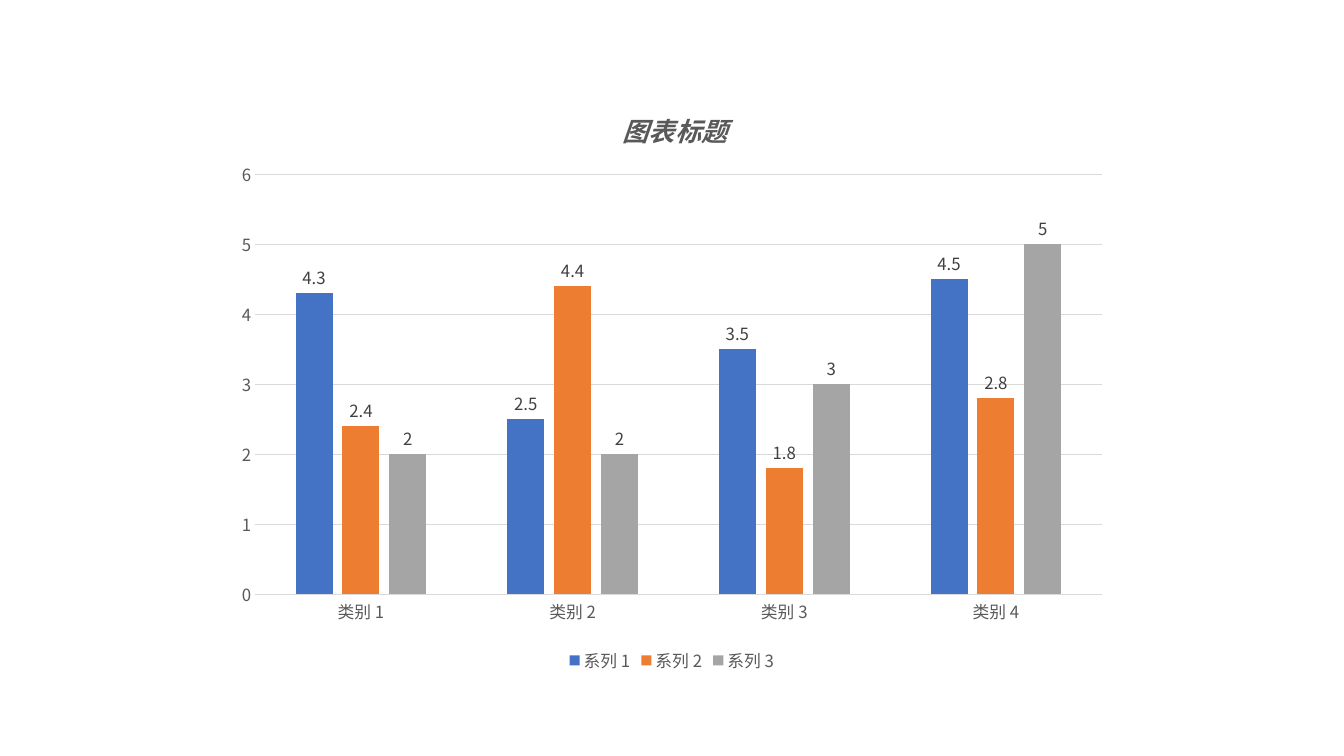
from dataclasses import dataclass

from lxml.etree import SubElement
from pptx import Presentation
from pptx.chart.axis import _BaseAxis
from pptx.chart.chart import Chart
from pptx.chart.data import CategoryChartData
from pptx.chart.series import BarSeries
from pptx.dml.color import RGBColor
from pptx.enum.chart import (XL_CHART_TYPE, XL_LABEL_POSITION,
                             XL_LEGEND_POSITION, XL_TICK_MARK)
from pptx.oxml import parse_xml
from pptx.oxml.ns import nsdecls, qn
from pptx.text.text import Font
from pptx.util import Cm, Pt

FONT_NAME = "Noto Sans CJK SC"
TEXT_COLOR = "595959"
LABEL_COLOR = "404040"
GRID_COLOR = "D9D9D9"
CATEGORIES = [f"类别 {number}" for number in range(1, 5)]


@dataclass(frozen=True)
class ColumnSeries:
    name: str
    values: tuple[float, ...]
    color: str


SERIES = (
    ColumnSeries("系列 1", (4.3, 2.5, 3.5, 4.5), "4472C4"),
    ColumnSeries("系列 2", (2.4, 4.4, 1.8, 2.8), "ED7D31"),
    ColumnSeries("系列 3", (2, 2, 3, 5), "A5A5A5"),
)


def rgb(color: str) -> RGBColor:
    return RGBColor.from_string(color)


def style_font(font: Font, size: float, color: str, strong: bool = False) -> None:
    font.name = FONT_NAME
    font.size = Pt(size)
    font.bold = font.italic = strong
    font.color.rgb = rgb(color)


def style_axis(axis: _BaseAxis) -> None:
    axis.major_tick_mark = axis.minor_tick_mark = XL_TICK_MARK.NONE
    style_font(axis.tick_labels.font, 12, TEXT_COLOR)


def style_series(series: BarSeries, color: str) -> None:
    series.format.fill.solid()
    series.format.fill.fore_color.rgb = rgb(color)
    series.invert_if_negative = False
    labels = series.data_labels
    labels.show_value = True
    labels.position = XL_LABEL_POSITION.OUTSIDE_END
    style_font(labels.font, 12, LABEL_COLOR)


def place(parent, **fractions: float) -> None:
    """Place a chart part by fractions of the chart size."""
    for old_layout in parent.findall(qn("c:layout")):
        parent.remove(old_layout)
    target = '<c:layoutTarget val="inner"/>' if "w" in fractions else ""
    modes = '<c:xMode val="edge"/><c:yMode val="edge"/>'
    sizes = "".join(f'<c:{key} val="{value}"/>' for key, value in fractions.items())
    layout = parse_xml(f'<c:layout {nsdecls("c")}><c:manualLayout>'
                       f'{target}{modes}{sizes}</c:manualLayout></c:layout>')
    text = parent.find(qn("c:tx"))
    parent.insert(0 if text is None else parent.index(text) + 1, layout)


def add_title(chart: Chart) -> None:
    chart.has_title = True
    para = chart.chart_title.text_frame.paragraphs[0]
    para.text = "图表标题"
    style_font(para.runs[0].font, 18.6, TEXT_COLOR, strong=True)
    chart.chart_title.include_in_layout = False


def add_legend(chart: Chart) -> None:
    chart.has_legend = True
    chart.legend.position = XL_LEGEND_POSITION.BOTTOM
    chart.legend.include_in_layout = False
    style_font(chart.legend.font, 12, TEXT_COLOR)


def main() -> None:
    deck = Presentation()
    deck.slide_width, deck.slide_height = Cm(33.87), Cm(19.05)
    page = deck.slides.add_slide(deck.slide_layouts[6])

    # Clustered columns
    data = CategoryChartData()
    data.categories = CATEGORIES
    for column in SERIES:
        data.add_series(column.name, column.values)
    chart = page.shapes.add_chart(XL_CHART_TYPE.COLUMN_CLUSTERED, Cm(5.64), Cm(2),
                                  Cm(22.58), Cm(15.06), data).chart
    style_font(chart.font, 10, "000000")
    plot = chart.plots[0]
    plot.vary_by_categories = False
    plot.gap_width, plot.overlap = 219, -27
    for series, column in zip(plot.series, SERIES):
        style_series(series, column.color)

    # Axes and gridlines
    style_axis(chart.category_axis)
    style_axis(chart.value_axis)
    chart.value_axis.format.line.fill.background()
    chart.value_axis.minimum_scale, chart.value_axis.maximum_scale = 0, 6
    chart.value_axis.major_unit = 1
    for line in (chart.category_axis.format.line,
                 chart.value_axis.major_gridlines.format.line):
        line.color.rgb = rgb(GRID_COLOR)
        line.width = Pt(0.75)

    # Title, legend and plot position
    add_title(chart)
    add_legend(chart)
    chart_element = chart.element.find(qn("c:chart"))
    place(chart_element.find(qn("c:title")), x=0.44, y=0.04)
    place(chart_element.find(qn("c:plotArea")), x=0.035, y=0.159, w=0.945, h=0.703)

    # The same typeface for East Asian characters
    for latin in list(chart.element.iter(qn("a:latin"))):
        east_asian = SubElement(latin.getparent(), qn("a:ea"), typeface=FONT_NAME)
        latin.addnext(east_asian)

    deck.save("out.pptx")


if __name__ == "__main__":
    main()
